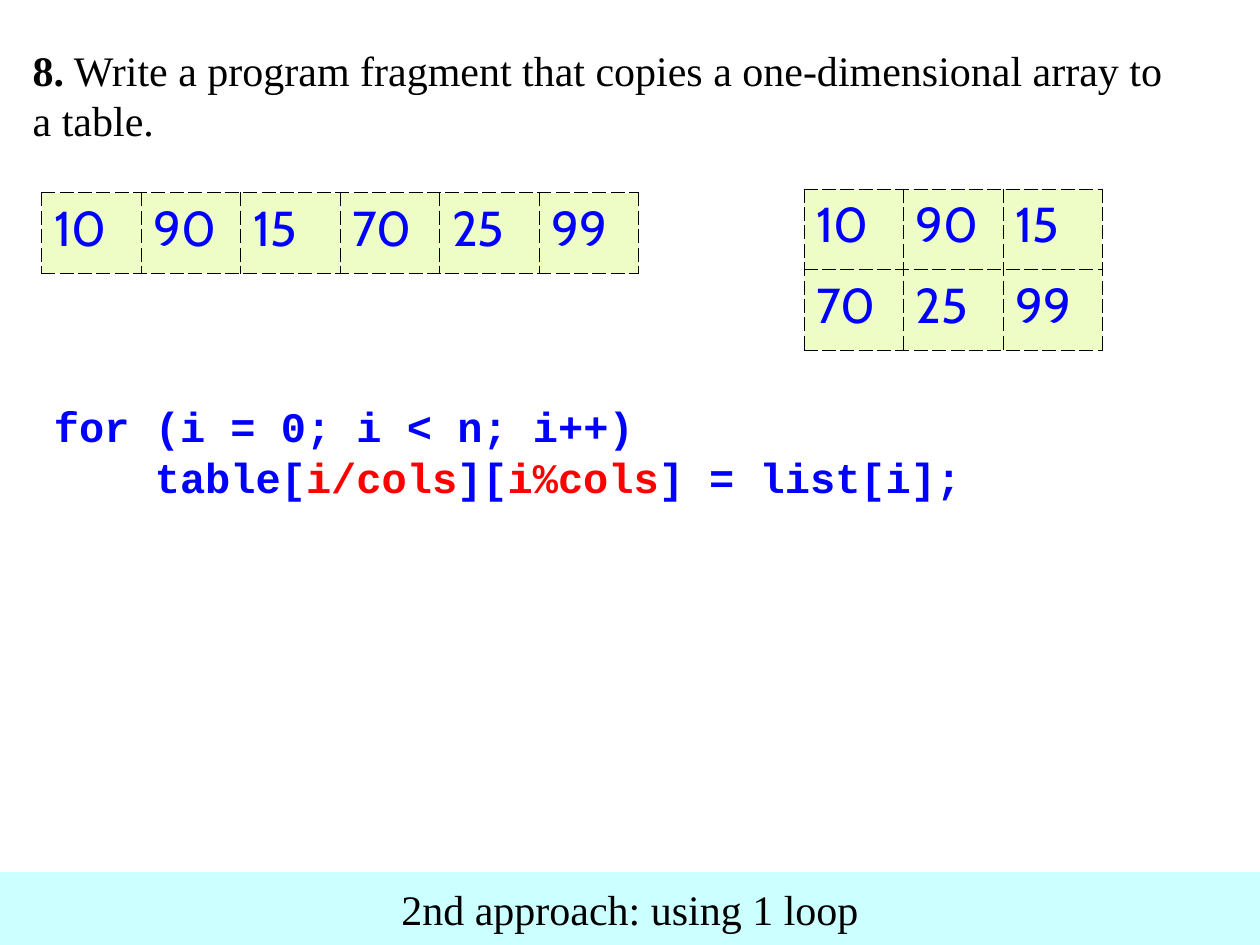
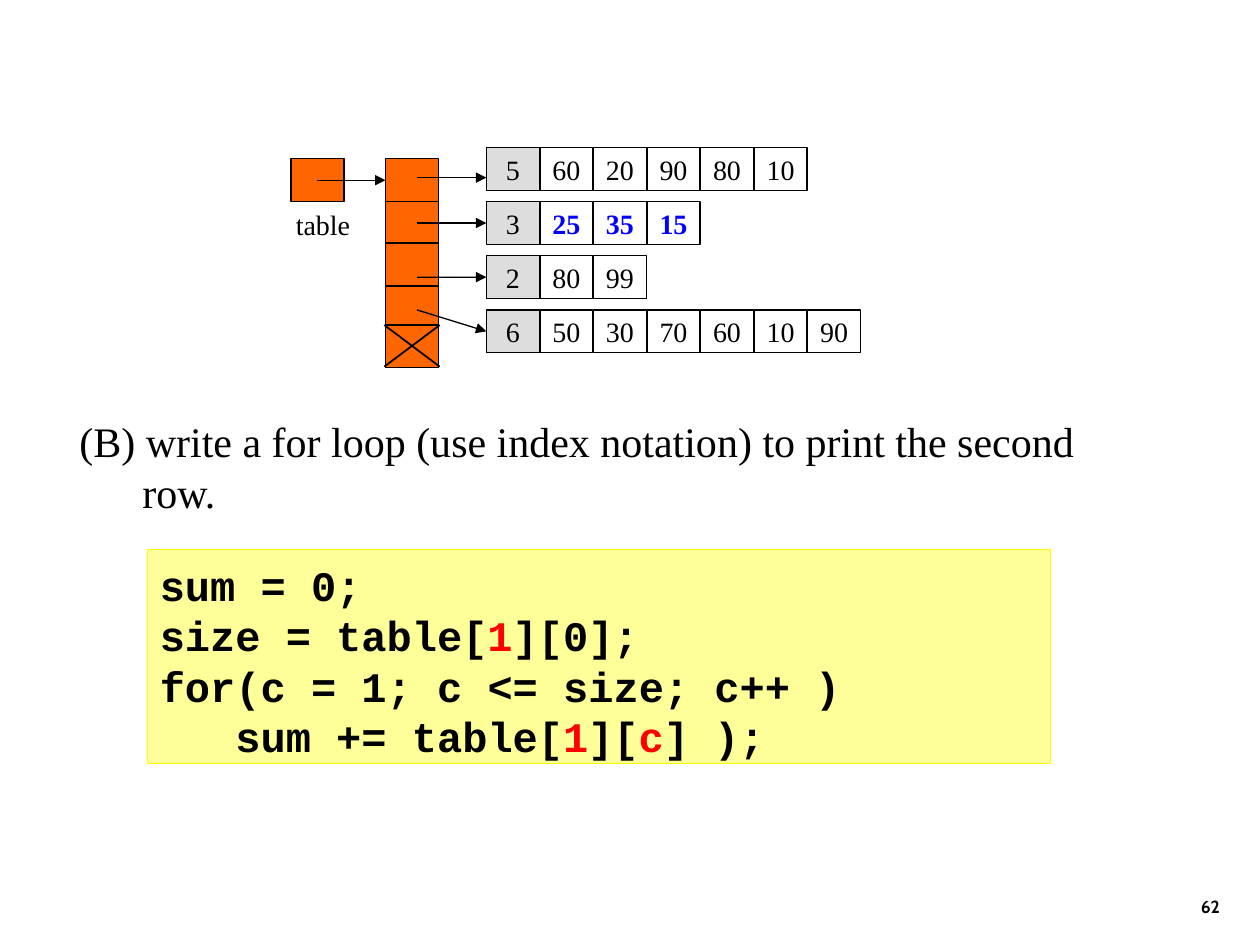
"""Builds two slides on copying an array to a table and looping over a ragged table row."""
from lxml import etree
from pptx import Presentation
from pptx.dml.color import RGBColor
from pptx.enum.shapes import MSO_CONNECTOR, MSO_SHAPE
from pptx.enum.text import MSO_ANCHOR, MSO_AUTO_SIZE, PP_ALIGN
from pptx.oxml import parse_xml
from pptx.oxml.ns import nsdecls, qn
from pptx.util import Inches, Pt

SERIF, MONO, SANS = "Times New Roman", "Courier New", "Cabin"
BLACK, BLUE, RED = "000000", "0000FF", "FF0000"
GREY, ORANGE, LIME = "DDDDDD", "FF6600", "EEFDC5"
LINE_PITCH = Pt(28.8)


def write(frame, lines, face, size, color=BLACK, bold=False, align=PP_ALIGN.LEFT, pitch=None):
    """Write the lines into the frame; parts between bars become red."""
    frame.word_wrap = True
    frame.auto_size = MSO_AUTO_SIZE.NONE
    for number, line in enumerate(lines):
        paragraph = frame.paragraphs[0] if number == 0 else frame.add_paragraph()
        paragraph.alignment = align
        paragraph.line_spacing = pitch
        for part_number, part in enumerate(line.split("|")):
            run = paragraph.add_run()
            run.text = part
            run.font.name, run.font.size, run.font.bold = face, Pt(size), bold
            run.font.color.rgb = RGBColor.from_string(RED if part_number % 2 else color)


def add_box(slide, left, top, width, height, fill=None, line=None):
    """Add a flat rectangle."""
    box = slide.shapes.add_shape(MSO_SHAPE.RECTANGLE, Inches(left), Inches(top),
                                 Inches(width), Inches(height))
    box.shadow.inherit = False
    if fill:
        box.fill.solid()
        box.fill.fore_color.rgb = RGBColor.from_string(fill)
    else:
        box.fill.background()
    if line:
        box.line.color.rgb = RGBColor.from_string(line)
        box.line.width = Pt(0.75)
    else:
        box.line.fill.background()
    return box


prs = Presentation()
prs.slide_width, prs.slide_height = Inches(10), Inches(7.5)

questions = [
    ("8. Write a program fragment that copies a one-dimensional array to a table.",
     0.16, 0.3, 9.27),
    ("(B) write a for loop (use index notation) to print the second row.", 0.53, 3.25, 8.4),
]
slides = []
for question, left, top, width in questions:
    slide = prs.slides.add_slide(prs.slide_layouts[5])
    title = slide.shapes.title
    title.left, title.top = Inches(left), Inches(top)
    title.width, title.height = Inches(width), Inches(0.9)
    title.text_frame.vertical_anchor = MSO_ANCHOR.TOP
    write(title.text_frame, [question], SERIF, 24, pitch=LINE_PITCH)
    slides.append(slide)
copy_slide, ragged_slide = slides

question_number = copy_slide.shapes.title.text_frame.paragraphs[0].runs[0]
question_number.text = "8."
question_number.font.bold = True
write(copy_slide.shapes.title.text_frame, [questions[0][0][2:]], SERIF, 24, pitch=LINE_PITCH)
hanging = ragged_slide.shapes.title.text_frame.paragraphs[0]._p.get_or_add_pPr()
hanging.set("marL", str(Inches(0.5)))
hanging.set("indent", str(Inches(-0.5)))

values = ["10", "90", "15", "70", "25", "99"]
cell_width, cell_height = 0.79, 0.64
for left, top, columns in [(0.33, 1.53, 6), (6.38, 1.5, 3)]:
    rows = len(values) // columns
    grid = copy_slide.shapes.add_table(rows, columns, Inches(left), Inches(top),
                                       Inches(columns * cell_width),
                                       Inches(rows * cell_height)).table
    for column in grid.columns:
        column.width = Inches(cell_width)
    for value, cell in zip(values, grid.iter_cells()):
        write(cell.text_frame, [value], SANS, 28, BLUE)
        cell_properties = cell._tc.get_or_add_tcPr()
        for side in ("lnL", "lnR", "lnT", "lnB"):
            cell_properties.append(parse_xml(
                f'<a:{side} {nsdecls("a")} w="{Pt(0.45)}"><a:solidFill>'
                f'<a:srgbClr val="{BLACK}"/></a:solidFill><a:prstDash val="dash"/></a:{side}>'))
        cell.fill.solid()
        cell.fill.fore_color.rgb = RGBColor.from_string(LIME)

copy_code = copy_slide.shapes.add_textbox(Inches(0.33), Inches(3.1), Inches(8.42), Inches(0.9))
copy_code.text_frame.margin_top = Inches(0.08)
write(copy_code.text_frame,
      ["for (i = 0; i < n; i++)", "    table[|i/cols|][|i%cols|] = list[i];"],
      MONO, 24, BLUE, True, pitch=LINE_PITCH)

approach_band = add_box(copy_slide, 0, 6.92, 10, 0.58, "CCFFFF")
write(approach_band.text_frame, ["2nd approach: using 1 loop"], SERIF, 24,
      align=PP_ALIGN.CENTER)

page_number = ragged_slide.shapes.add_textbox(Inches(7.7), Inches(6.83), Inches(2.08), Inches(0.5))
page_number.text_frame.vertical_anchor = MSO_ANCHOR.BOTTOM
write(page_number.text_frame, ["62"], SANS, 10, bold=True, align=PP_ALIGN.RIGHT)

sum_code = add_box(ragged_slide, 1.17, 4.36, 7.17, 1.7, "FFFF99", "FFFF00")
sum_code.text_frame.vertical_anchor = MSO_ANCHOR.TOP
sum_code.text_frame.margin_top = Inches(0.08)
write(sum_code.text_frame,
      ["sum = 0;", "size = table[|1|][0];", "for(c = 1; c <= size; c++ )",
       "   sum += table[|1|][|c|] );"],
      MONO, 24, bold=True, pitch=LINE_PITCH)

ragged_rows = [[5, 60, 20, 90, 80, 10], [3, 25, 35, 15], [2, 80, 99],
               [6, 50, 30, 70, 60, 10, 90]]
row_tops = [1.17 + 0.43 * index for index in range(len(ragged_rows))]
row_sizes = []
for row_index, (row, top) in enumerate(zip(ragged_rows, row_tops)):
    for position, number in enumerate(row):
        box = add_box(ragged_slide, 3.86 + 0.425 * position, top, 0.42, 0.34,
                      None if position else GREY, BLACK)
        box.text_frame.margin_left = box.text_frame.margin_right = 0
        second_row = row_index == 1 and position > 0
        write(box.text_frame, [str(number)], SERIF, 16, BLUE if second_row else BLACK,
              second_row, PP_ALIGN.CENTER)
        if position == 0:
            row_sizes.append(box)

add_box(ragged_slide, 2.31, 1.26, 0.42, 0.34, ORANGE, BLACK)
table_label = ragged_slide.shapes.add_textbox(Inches(2.25), Inches(1.6), Inches(0.7), Inches(0.37))
write(table_label.text_frame, ["table"], SERIF, 16)
row_pointers = [add_box(ragged_slide, 3.06, top, 0.42, 0.34, ORANGE, BLACK)
                for top in (1.26, 1.6, 1.93, 2.27, 2.58)]

links = [
    (2.52, 1.43, 3.06, 1.43, row_pointers[0]),
    (3.31, 1.41, 3.86, 1.41, None),
    (3.31, 1.77, 3.86, 1.77, row_sizes[1]),
    (3.31, 2.2, 3.86, 2.2, row_sizes[2]),
    (3.31, 2.46, 3.86, 2.63, row_sizes[3]),
    (3.05, 2.58, 3.49, 2.91, None),
    (3.49, 2.58, 3.05, 2.91, None),
]
for index, (x1, y1, x2, y2, target) in enumerate(links):
    link = ragged_slide.shapes.add_connector(MSO_CONNECTOR.STRAIGHT, Inches(x1), Inches(y1),
                                             Inches(x2), Inches(y2))
    is_arrow = index < 5
    link.line.color.rgb = RGBColor.from_string(BLACK)
    link.line.width = Pt(0.75 if is_arrow else 1)
    if is_arrow:
        etree.SubElement(link.line._get_or_add_ln(), qn("a:tailEnd"), type="triangle")
    etree.SubElement(link._element.spPr, qn("a:effectLst"))
    if target:
        link.end_connect(target, 1)

prs.save("out.pptx")
